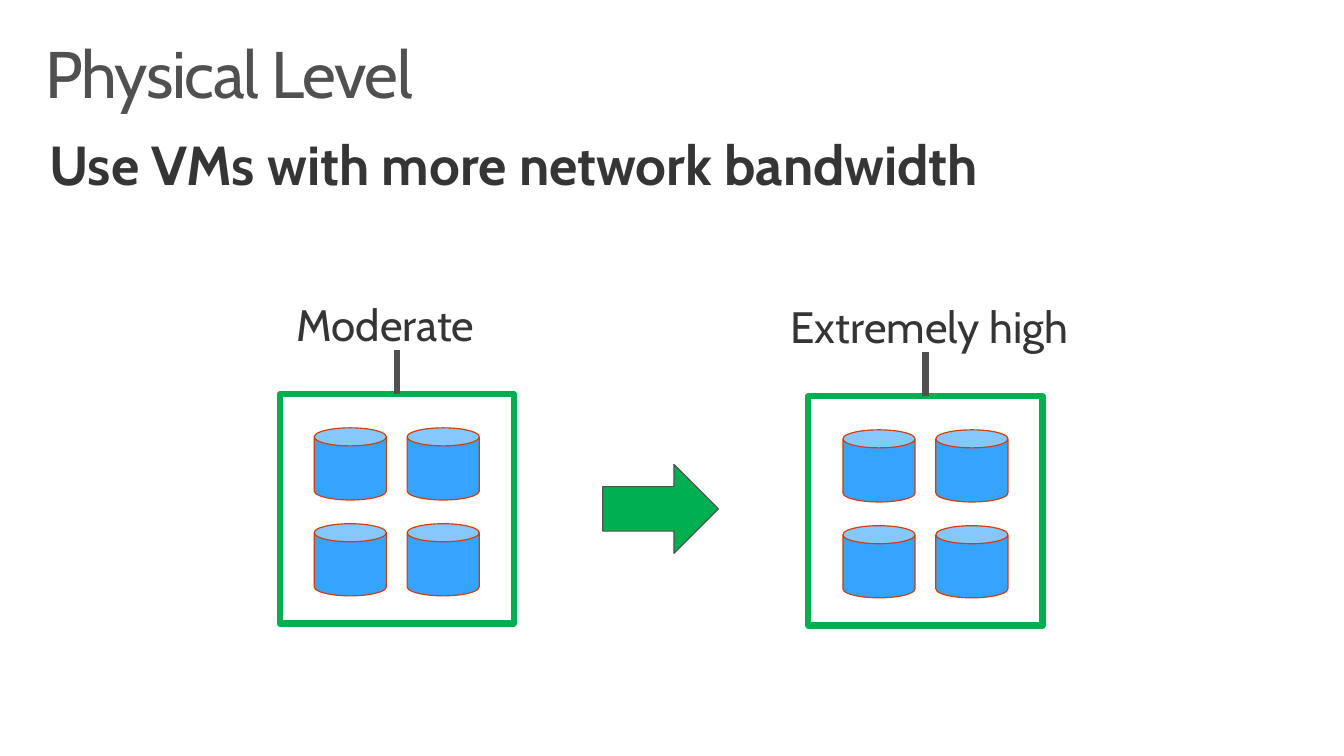
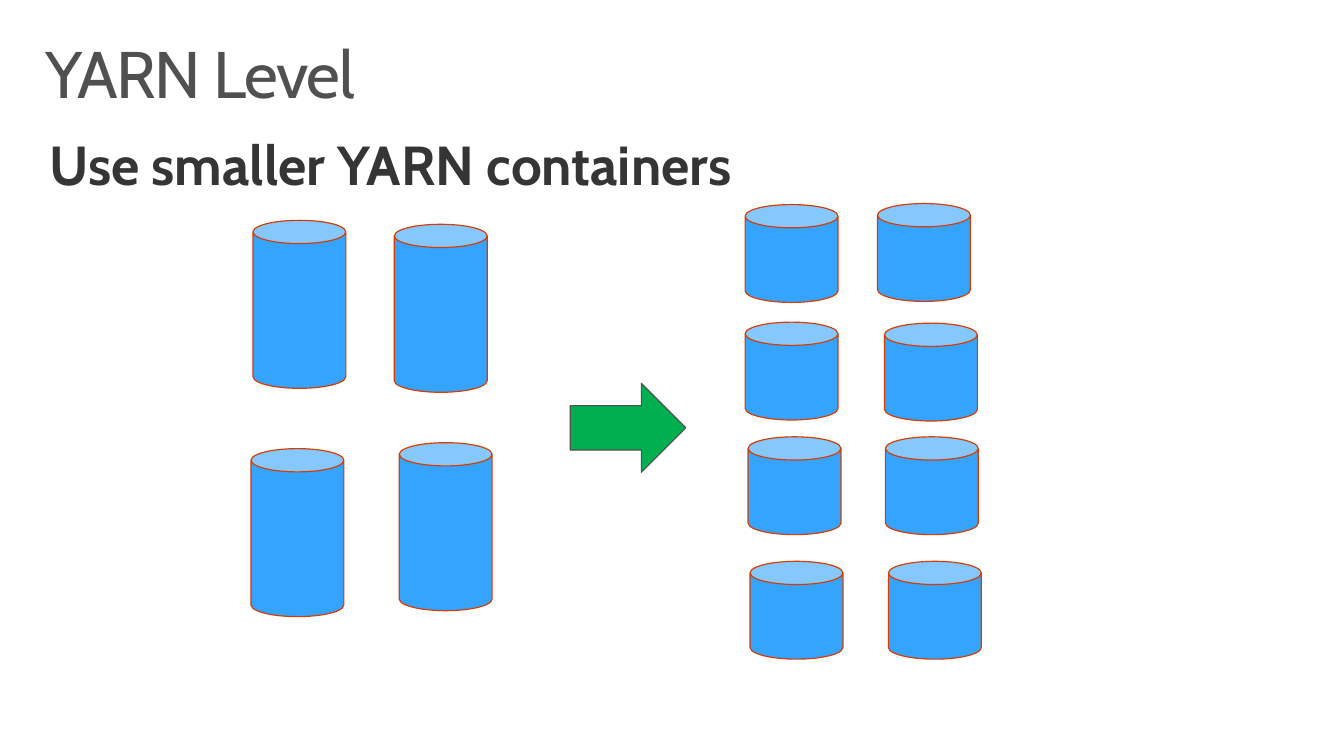
from pptx import Presentation
from pptx.dml.color import RGBColor
from pptx.enum.shapes import MSO_CONNECTOR, MSO_SHAPE
from pptx.enum.text import MSO_ANCHOR, MSO_AUTO_SIZE, PP_ALIGN
from pptx.oxml.ns import qn
from pptx.util import Inches, Pt

FONT = "Cabin"
GRAY = "505050"
INK = "353535"
GREEN = "00B050"
BLUE = "35A4FF"
ORANGE = "D83B01"
THIN, THICK = 0.85, 4.5


def color(value):
    """Turn a hex string into a colour."""
    return RGBColor.from_string(value)


def write_text(box, text, size=32, ink=INK, bold=False, spacing=None,
               after=6, margins=(0.2, 0.16)):
    """Write one formatted paragraph into a box."""
    frame = box.text_frame
    frame.word_wrap = True
    frame.auto_size = MSO_AUTO_SIZE.NONE
    frame.vertical_anchor = MSO_ANCHOR.TOP
    frame.margin_left = frame.margin_right = Inches(margins[0])
    frame.margin_top = frame.margin_bottom = Inches(margins[1])
    para = frame.paragraphs[0]
    para.alignment = PP_ALIGN.LEFT
    para.line_spacing = 0.9
    para.space_before = Pt(0)
    para.space_after = Pt(after)
    span = para.add_run()
    span.text = text
    span.font.name = FONT
    span.font.size = Pt(size)
    span.font.bold = bold
    span.font.color.rgb = color(ink)
    if spacing is not None:
        span.font._element.set("spc", str(spacing * 100))


def add_text(page, text, left, top, width, height, **style):
    """Add a text box with one paragraph."""
    box = page.shapes.add_textbox(
        Inches(left), Inches(top), Inches(width), Inches(height))
    write_text(box, text, **style)


def add_figure(shapes, kind, left, top, width, height,
               fill=None, line=GRAY, weight=THIN):
    """Add a preset shape with a flat fill and outline."""
    figure = shapes.add_shape(
        kind, Inches(left), Inches(top), Inches(width), Inches(height))
    figure.shadow.inherit = False
    if fill:
        figure.fill.solid()
        figure.fill.fore_color.rgb = color(fill)
    else:
        figure.fill.background()
    figure.line.color.rgb = color(line)
    figure.line.width = Pt(weight)
    return figure


def add_container(shapes, left, top, width, height):
    """Add one blue container cylinder."""
    add_figure(shapes, MSO_SHAPE.CAN, left, top, width, height,
               fill=BLUE, line=ORANGE)


def add_arrow(page, left, top):
    """Add the green arrow from before to after."""
    add_figure(page.shapes, MSO_SHAPE.RIGHT_ARROW, left, top, 1.17, 0.9,
               fill=GREEN)


def add_page(deck, title, subtitle, subtitle_width):
    """Add a slide with its title and bold subtitle."""
    page = deck.slides.add_slide(deck.slide_layouts[5])
    heading = page.shapes.title
    heading.left, heading.top = Inches(0.3), Inches(0.32)
    heading.width, heading.height = Inches(13), Inches(1)
    write_text(heading, title, size=48, ink=GRAY, spacing=-1, after=0,
               margins=(0.16, 0.1))
    add_text(page, subtitle, 0.3, 1.24, subtitle_width, 1.38,
             size=40, bold=True)
    return page


def add_machine(page, left, top, label, label_shift, label_width):
    """Add a labelled machine frame holding four containers."""
    group = page.shapes.add_group_shape()
    frame = add_figure(group.shapes, MSO_SHAPE.RECTANGLE, left, top, 2.37, 2.32,
                       line=GREEN, weight=THICK)
    for row in range(2):
        for column in range(2):
            add_container(group.shapes, left + 0.35 + column * 0.94,
                          top + 0.34 + row * 0.97, 0.73, 0.73)
    add_text(page, label, left + label_shift, top - 1.08, label_width, 1.26)
    middle = Inches(left + 2.37 / 2)
    stem = page.shapes.add_connector(
        MSO_CONNECTOR.STRAIGHT, middle, Inches(top), middle, Inches(top - 0.45))
    stem.begin_connect(frame, 0)
    stem.line.color.rgb = color(GRAY)
    stem.line.width = Pt(THICK)
    properties = stem._element.spPr
    properties.append(properties.makeelement(qn("a:effectLst"), {}))


def add_containers(page, left, top, offsets, height):
    """Add containers of one size at offsets from a corner."""
    for across, down in offsets:
        add_container(page.shapes, left + across, top + down, 0.94, height)


def build_physical(deck):
    """Build the slide on network bandwidth."""
    page = add_page(deck, "Physical Level",
                    "Use VMs with more network bandwidth", 11.67)
    add_machine(page, 2.83, 3.99, "Moderate", -0.03, 2.5)
    add_machine(page, 8.18, 4.01, "Extremely high", -0.38, 3.58)
    add_arrow(page, 6.1, 4.7)


def build_yarn(deck):
    """Build the slide on container size."""
    page = add_page(deck, "YARN Level", "Use smaller YARN containers", 7.75)
    large = [(0.02, 0), (1.45, 0.04), (0, 2.31), (1.5, 2.25)]
    small = [(0, 0.01), (1.34, 0), (0, 1.2), (1.41, 1.21),
             (0.03, 2.36), (1.42, 2.36), (0.05, 3.62), (1.45, 3.62)]
    add_containers(page, 2.54, 2.23, large, 1.7)
    add_arrow(page, 5.77, 3.88)
    add_containers(page, 7.54, 2.06, small, 0.99)


def main():
    """Build and save the deck."""
    deck = Presentation()
    deck.slide_width, deck.slide_height = Inches(13.6), Inches(7.65)
    build_physical(deck)
    build_yarn(deck)
    deck.save("out.pptx")


if __name__ == "__main__":
    main()
